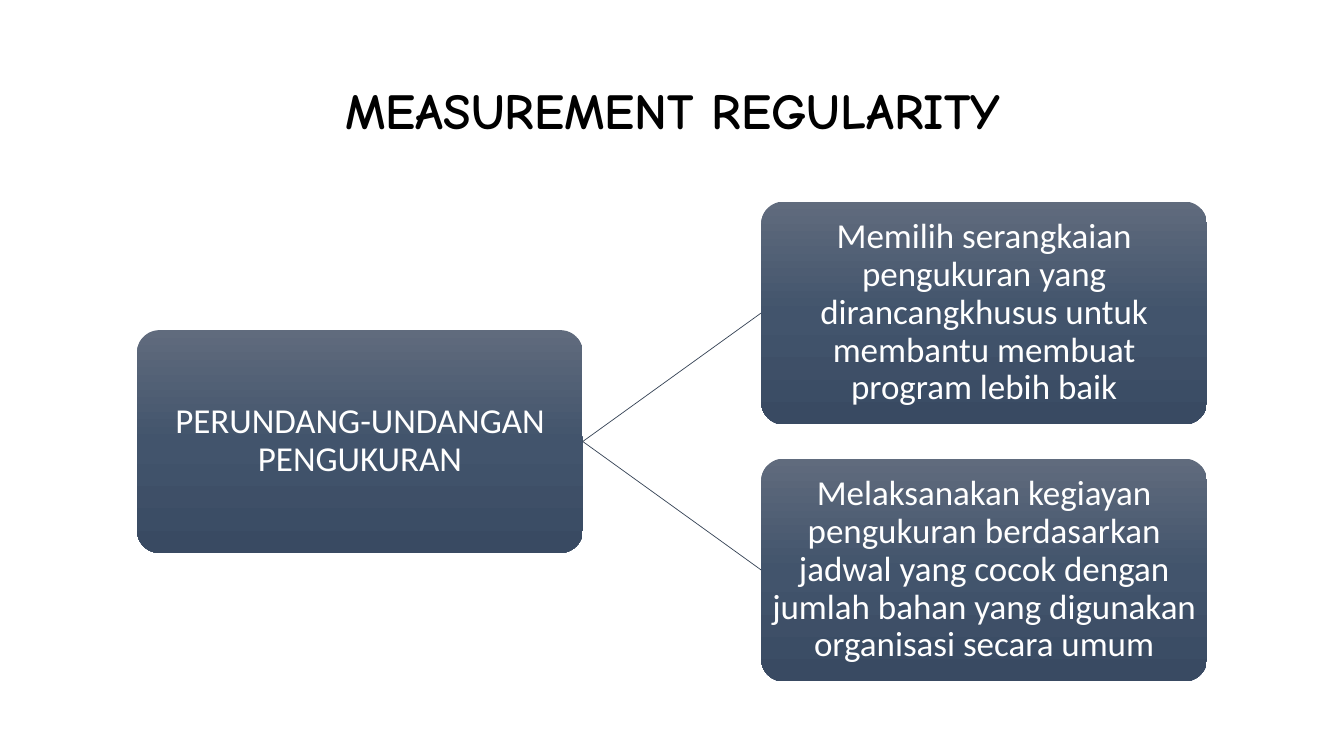
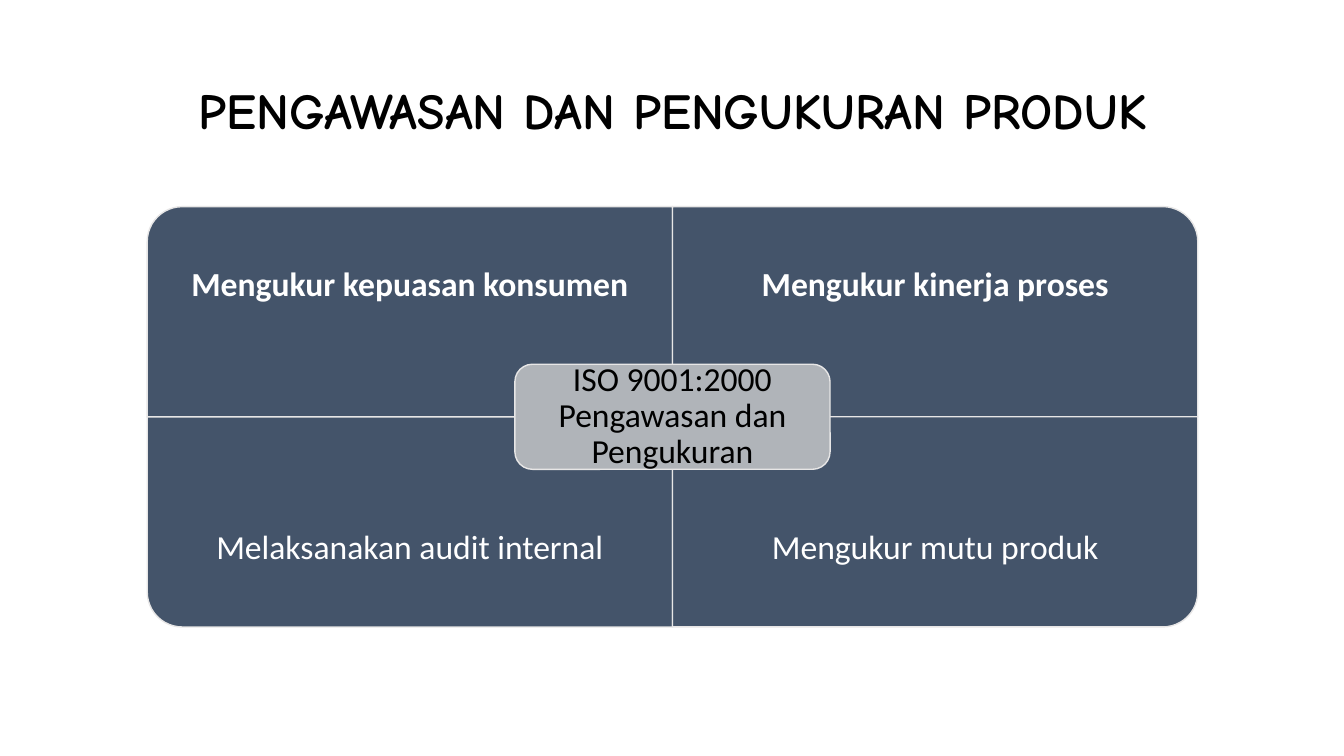
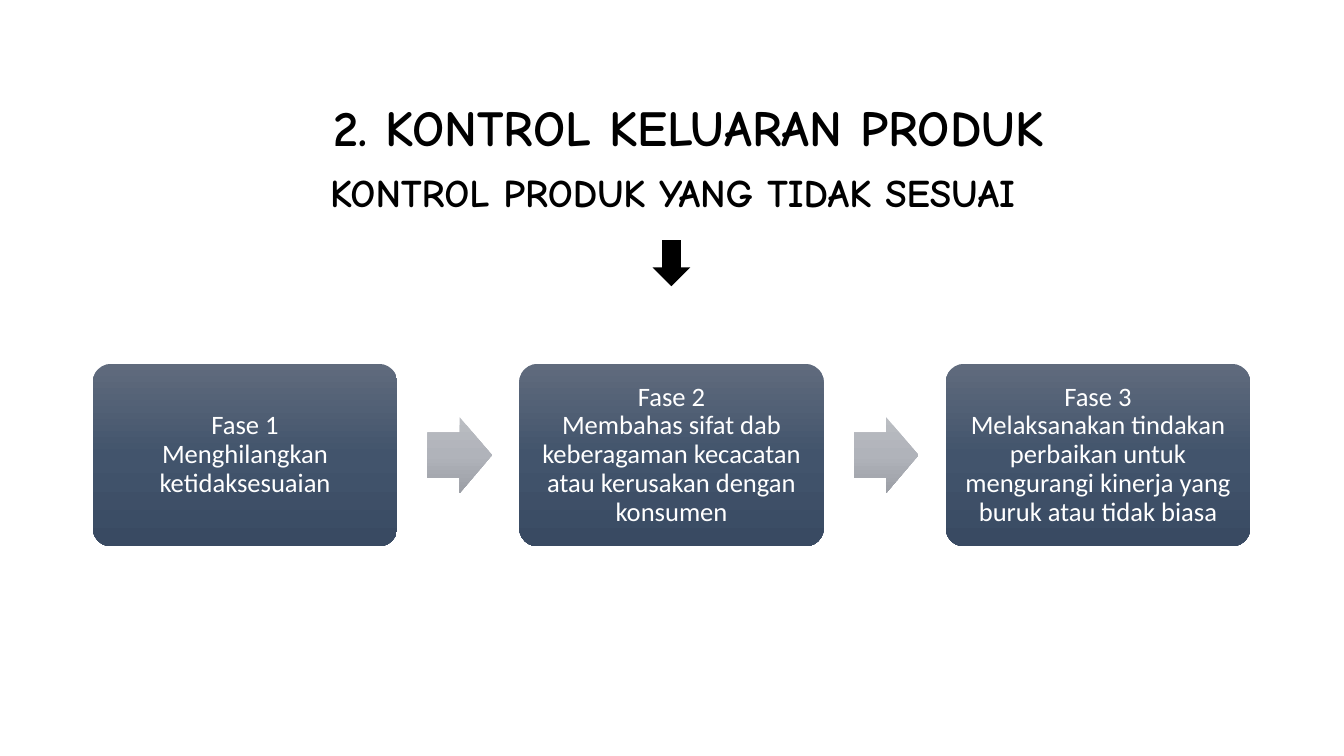
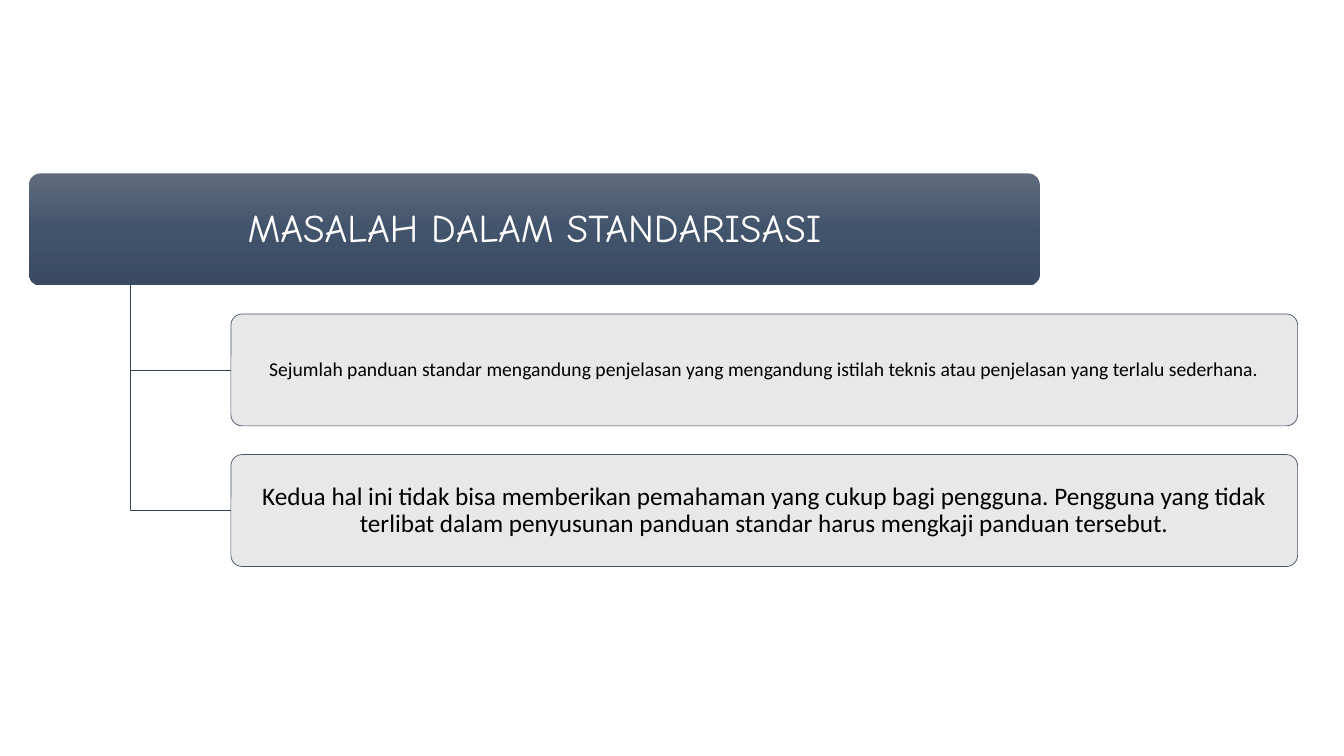
from copy import deepcopy

from pptx import Presentation
from pptx.dml.color import RGBColor
from pptx.enum.shapes import MSO_CONNECTOR, MSO_SHAPE
from pptx.enum.text import MSO_ANCHOR, MSO_AUTO_SIZE, PP_ALIGN
from pptx.oxml.ns import qn
from pptx.oxml.xmlchemy import OxmlElement
from pptx.util import Inches, Pt

COLORS = {
    "black": "000000", "white": "FFFFFF", "slate": "44546A",
    "wire": "364355", "pale": "E7E6E6", "hub": "B0B4B9",
}
DARK_GRADIENT = ("606B7D", "42546C", "394A62")
GREY_GRADIENT = ("BABDC2", "B0B3BA", "9C9FA6")
BODY_FONT = "Calibri"
TITLE_FONT = "Comic Neue"
TITLE_BOX = (0.92, 0.4, 11.5, 1.45)


def rgb(name):
    """Return the palette colour called name."""
    return RGBColor.from_string(COLORS[name])


def write(sp, text, size, color="white", font=BODY_FONT, bold=False,
          inset=(0.1, 0.05), anchor=MSO_ANCHOR.MIDDLE):
    """Fill a shape with one centred paragraph, one run per line."""
    tf = sp.text_frame
    tf.word_wrap = True
    tf.auto_size = MSO_AUTO_SIZE.NONE
    tf.vertical_anchor = anchor
    tf.margin_left = tf.margin_right = Inches(inset[0])
    tf.margin_top = tf.margin_bottom = Inches(inset[1])
    p = tf.paragraphs[0]
    p.alignment = PP_ALIGN.CENTER
    p.line_spacing = 0.9
    for i, line in enumerate(text.split("\n")):
        if i:
            p.add_line_break()
        r = p.add_run()
        r.text = line
        r.font.size = Pt(size)
        r.font.name = font
        r.font.bold = bold
        r.font.color.rgb = rgb(color)


def add_title(slide, text, box=TITLE_BOX, size=36, **style):
    """Place and format the title placeholder."""
    sp = slide.shapes.title
    sp.left, sp.top, sp.width, sp.height = map(Inches, box)
    write(sp, text, size, "black", TITLE_FONT, True, **style)


def add_text(slide, box, text, size, **style):
    """Add a text box."""
    write(slide.shapes.add_textbox(*map(Inches, box)), text, size, **style)


def add_shape(slide, kind, box, fill, line=None, weight=1.0, adj=None):
    """Add a preset shape with a solid or a three-stop vertical fill."""
    sp = slide.shapes.add_shape(kind, *map(Inches, box))
    sp.shadow.inherit = False
    for i, value in enumerate(adj or ()):
        sp.adjustments[i] = value
    if isinstance(fill, tuple):
        sp.fill.gradient()
        sp.fill.gradient_angle = 270
        stops = sp._element.spPr.find(".//" + qn("a:gsLst"))
        stops.append(deepcopy(stops[-1]))
        for i, stop in enumerate(sp.fill.gradient_stops):
            stop.position = i / 2
            stop.color.rgb = RGBColor.from_string(fill[i])
    else:
        sp.fill.solid()
        sp.fill.fore_color.rgb = rgb(fill)
    if line:
        sp.line.color.rgb = rgb(line)
        sp.line.width = Pt(weight)
        miter = OxmlElement("a:miter")
        miter.set("lim", "800000")
        sp._element.spPr.find(qn("a:ln")).append(miter)
    else:
        sp.line.fill.background()
    return sp


def add_card(slide, box, text, size, inset, font=BODY_FONT):
    """Add a dark rounded card with white text."""
    sp = add_shape(slide, MSO_SHAPE.ROUNDED_RECTANGLE, box, DARK_GRADIENT, adj=(0.1,))
    write(sp, text, size, font=font, inset=inset)


def style_wire(sp):
    """Give a line the thin wire look."""
    sp.line.color.rgb = rgb("wire")
    sp.line.width = Pt(0.5)


def add_wire(slide, *ends):
    """Add a thin straight connector."""
    cn = slide.shapes.add_connector(MSO_CONNECTOR.STRAIGHT, *map(Inches, ends))
    style_wire(cn)
    cn._element.spPr.append(OxmlElement("a:effectLst"))


def add_elbow(slide, x, y, end_x, end_y):
    """Add an open outline running down and then right."""
    fb = slide.shapes.build_freeform(Inches(x), Inches(y))
    corners = [(Inches(x), Inches(end_y)), (Inches(end_x), Inches(end_y))]
    fb.add_line_segments(corners, close=False)
    sp = fb.convert_to_shape()
    sp.shadow.inherit = False
    sp.fill.background()
    style_wire(sp)


def add_branches(slide, box, root, leaves):
    """Draw a root card at the left joined to a column of leaf cards."""
    x, y, w, h = box
    card_w, card_h = 4.42, 2.21
    step = (h - card_h) / (len(leaves) - 1)
    mid, leaf_x = y + h / 2, x + w - card_w
    style = {"size": 25, "inset": (0.02, 0.02)}
    add_card(slide, (x, mid - card_h / 2, card_w, card_h), root, **style)
    for i, leaf in enumerate(leaves):
        top = y + i * step
        add_wire(slide, x + card_w, mid, leaf_x, top + card_h / 2)
        add_card(slide, (leaf_x, top, card_w, card_h), leaf, **style)


def add_matrix(slide, box, quadrants, center):
    """Draw four quadrants with rounded outer corners and a central label."""
    x, y, w, h = box
    qw, qh = w / 2, h / 2
    text_h = qh * 0.75
    for i, (text, turn, bold) in enumerate(quadrants):
        row, col = divmod(i, 2)
        left, top = x + col * qw, y + row * qh
        sw, sh = (qh, qw) if turn % 180 else (qw, qh)
        sp = add_shape(slide, MSO_SHAPE.ROUND_1_RECTANGLE,
                       (left + (qw - sw) / 2, top + (qh - sh) / 2, sw, sh),
                       "slate", "pale")
        sp.rotation = turn
        add_text(slide, (left, top + row * (qh - text_h), qw, text_h), text, 24,
                 bold=bold, inset=(0.19, 0.19))
    cw, ch = qw * 0.6, qh / 2
    sp = add_shape(slide, MSO_SHAPE.ROUNDED_RECTANGLE,
                   (x + qw - cw / 2, y + qh - ch / 2, cw, ch), "hub", "pale")
    write(sp, center, 24, "black", inset=(0.1, 0.1))


def add_process(slide, box, phases):
    """Draw a row of phase cards with arrows in the gaps."""
    x, y, w, h = box
    card_w, arrow_w, arrow_h = 3.02, 0.64, 0.75
    step = (w - card_w) / (len(phases) - 1)
    for i, phase in enumerate(phases):
        left = x + i * step
        if i:
            add_shape(slide, MSO_SHAPE.RIGHT_ARROW,
                      (left - 0.91, y + (h - arrow_h) / 2, arrow_w, arrow_h),
                      GREY_GRADIENT, adj=(0.6, 0.5))
        add_card(slide, (left, y, card_w, h), phase, 19, (0.08, 0.08))


def add_hierarchy(slide, box, head, items):
    """Draw a heading card with indented items hung from elbow lines."""
    x, y, w, h = box
    head_w, row_h, indent = 10.02, 1.11, 2
    step = (h - row_h) / len(items)
    trunk, item_x = x + indent / 2, x + indent
    add_card(slide, (x, y, head_w, row_h), head, 28, (0.06, 0.04), TITLE_FONT)
    for i, (text, size) in enumerate(items, 1):
        top = y + i * step
        add_elbow(slide, trunk, y + row_h, item_x, top + row_h / 2)
        sp = add_shape(slide, MSO_SHAPE.ROUNDED_RECTANGLE,
                       (item_x, top, w - indent, row_h), "pale", "slate", 0.5, (0.1,))
        alpha = OxmlElement("a:alpha")
        alpha.set("val", "90000")
        sp._element.spPr.find(qn("a:solidFill"))[0].append(alpha)
        write(sp, text, size, "black", inset=(0.03, 0.02))


def main():
    """Build the four slides."""
    prs = Presentation()
    prs.slide_width, prs.slide_height = Inches(13.33), Inches(7.5)
    title_only, blank = prs.slide_layouts[5], prs.slide_layouts[6]

    slide = prs.slides.add_slide(title_only)
    add_title(slide, "MEASUREMENT REGULARITY")
    add_branches(slide, (1.36, 2, 10.61, 4.76), "PERUNDANG-UNDANGAN PENGUKURAN", [
        "Memilih serangkaian pengukuran yang dirancangkhusus untuk membantu "
        "membuat program lebih baik",
        "Melaksanakan kegiayan pengukuran berdasarkan jadwal yang cocok dengan "
        "jumlah bahan yang digunakan organisasi secara umum",
    ])

    slide = prs.slides.add_slide(title_only)
    add_title(slide, "PENGAWASAN DAN PENGUKURAN PRODUK")
    add_matrix(slide, (1.46, 2.05, 10.42, 4.17), [
        ("Mengukur kepuasan konsumen", 270, True),
        ("Mengukur kinerja proses", 0, True),
        ("Melaksanakan audit internal", 180, False),
        ("Mengukur mutu produk", 90, False),
    ], "ISO 9001:2000 Pengawasan dan Pengukuran")

    slide = prs.slides.add_slide(title_only)
    add_title(slide, "KONTROL PRODUK YANG TIDAK SESUAI", (0.92, 1.67, 11.5, 1.01), 28,
              anchor=MSO_ANCHOR.TOP)
    add_process(slide, (0.92, 3.61, 11.48, 1.81), [
        "Fase 1\nMenghilangkan ketidaksesuaian",
        "Fase 2\nMembahas sifat dab keberagaman kecacatan atau kerusakan "
        "dengan konsumen",
        "Fase 3\nMelaksanakan tindakan perbaikan untuk mengurangi kinerja yang "
        "buruk atau tidak biasa",
    ])
    add_text(slide, (1.08, 0.57, 11.5, 1.45), "2. KONTROL KELUARAN PRODUK", 36,
             color="black", font=TITLE_FONT, bold=True)
    add_shape(slide, MSO_SHAPE.DOWN_ARROW, (6.49, 2.39, 0.34, 0.44), "black", "black")

    slide = prs.slides.add_slide(blank)
    add_hierarchy(slide, (0.29, 1.72, 12.58, 3.9), "MASALAH DALAM STANDARISASI", [
        ("Sejumlah panduan standar mengandung penjelasan yang mengandung istilah "
         "teknis atau penjelasan yang terlalu sederhana.", 14),
        ("Kedua hal ini tidak bisa memberikan pemahaman yang cukup bagi pengguna. "
         "Pengguna yang tidak terlibat dalam penyusunan panduan standar harus "
         "mengkaji panduan tersebut.", 18),
    ])

    prs.save("out.pptx")


if __name__ == "__main__":
    main()
